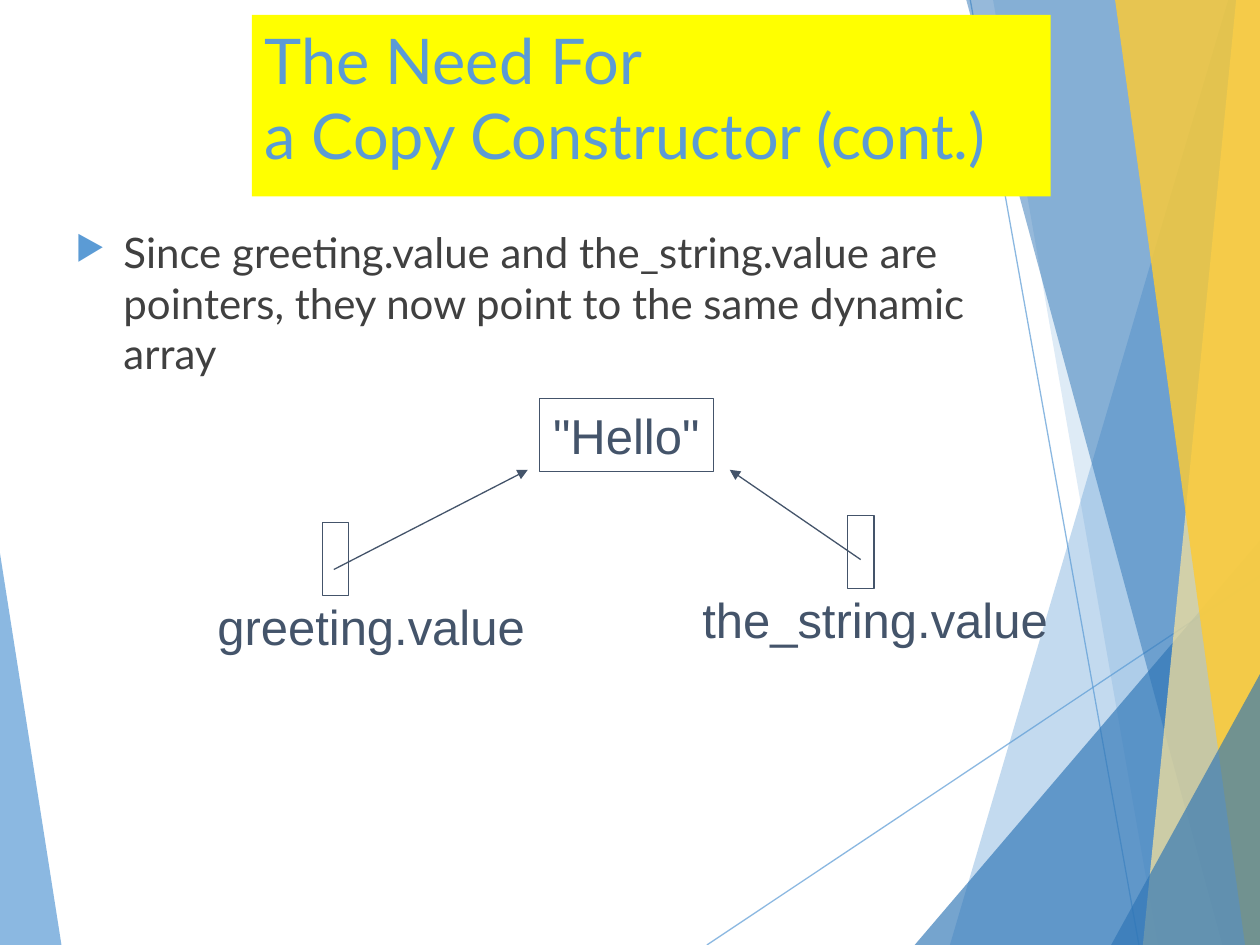
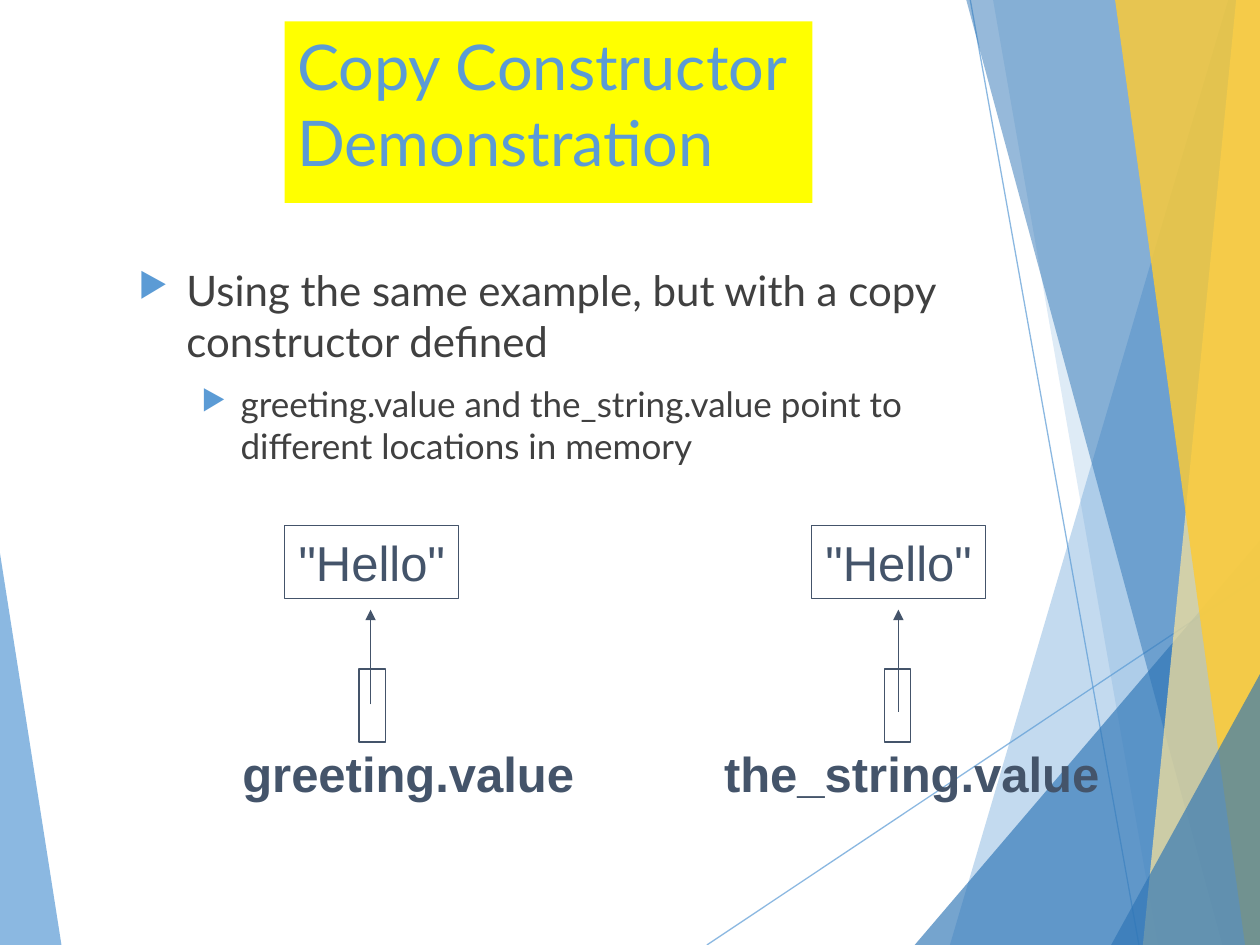
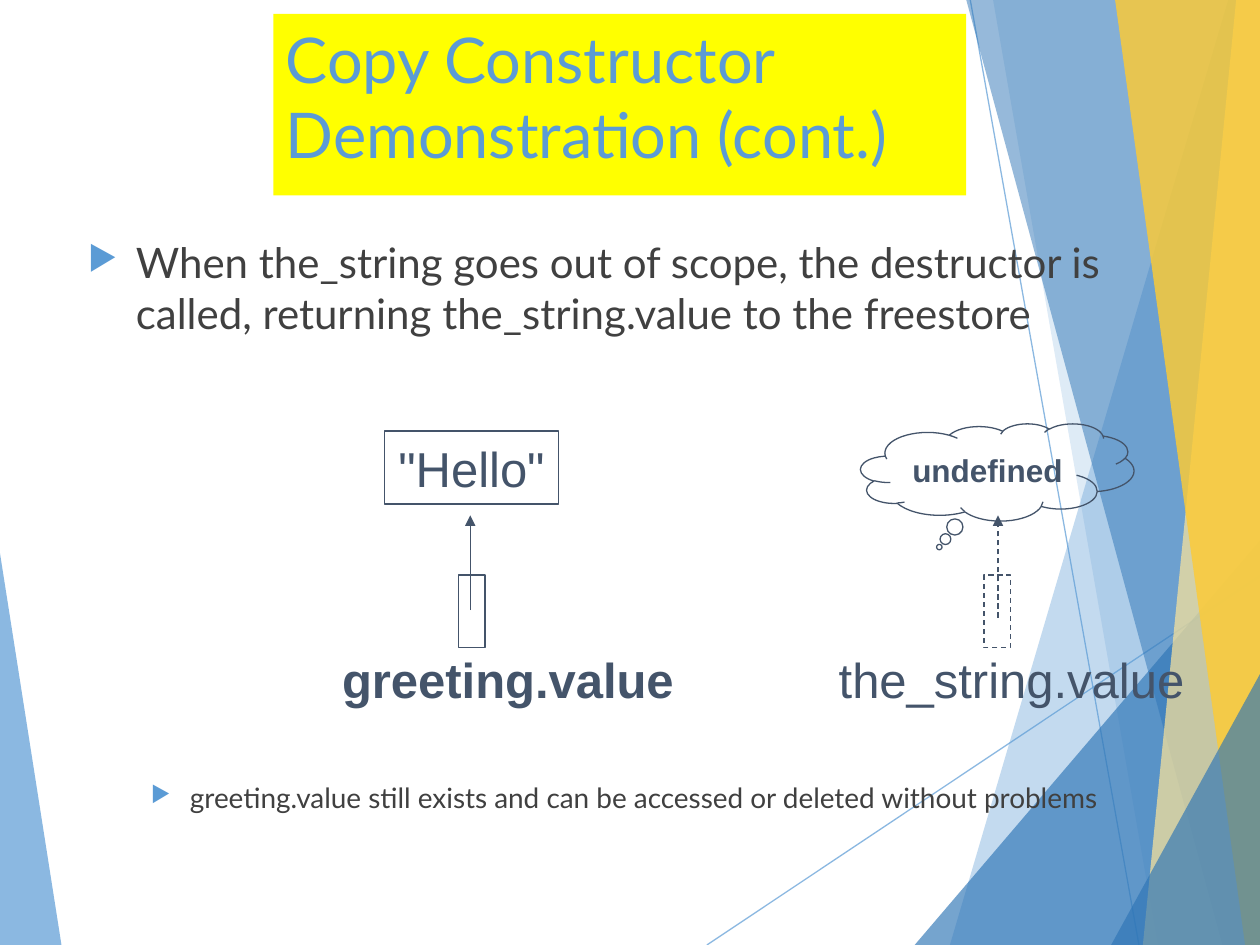
"""Build three slides on copy constructors, with pointer diagrams."""
import lxml.etree
import pptx
import pptx.dml.color
import pptx.enum.dml
import pptx.enum.shapes
import pptx.enum.text
import pptx.oxml.ns
import pptx.util

Cm, Pt = pptx.util.Cm, pptx.util.Pt
SHAPE = pptx.enum.shapes.MSO_SHAPE
ALIGN = pptx.enum.text.PP_ALIGN
ANCHOR = pptx.enum.text.MSO_ANCHOR

WIDTH, HEIGHT = 25.4, 19.05
COLORS = {
    "blue": "5B9BD5", "deep": "2E75B6", "cream": "FEE599", "gold": "FDCB34",
    "yellow": "FFFF00", "body": "404040", "slate": "44546A",
}
CORNER = (WIDTH, HEIGHT)
RIGHT_SIDE = [CORNER, (WIDTH, 0)]
BACKDROP = [
    ("blue", 70, [(0, 11.15), (1.24, HEIGHT), (0, HEIGHT)]),
    ("blue", 70, [(14.25, HEIGHT), (WIDTH, 11.61)]),
    ("blue", 70, [(19.56, 0), (22.96, HEIGHT)]),
    ("blue", 36, [(24.76, 0), (19.15, HEIGHT), *RIGHT_SIDE]),
    ("blue", 20, [(20.02, 0), (23.34, HEIGHT), *RIGHT_SIDE]),
    ("deep", 66, [(18.44, HEIGHT), (WIDTH, 10.9), CORNER]),
    ("deep", 50, [(19.48, 0), (24.64, HEIGHT), *RIGHT_SIDE]),
    ("cream", 70, [(24.92, 0), (23.04, HEIGHT), *RIGHT_SIDE]),
    ("gold", 82, [(22.48, 0), (25.1, HEIGHT), *RIGHT_SIDE]),
    ("deep", 66, [(22.4, HEIGHT), (WIDTH, 13.59), CORNER]),
]

TITLE_HEIGHT = 3.66
LABEL_HEIGHT = 1.45
CELL_SIZE = (0.53, 1.47)
VALUE_SIZE = (3.51, 1.47)
CLOUD_SIZE = (5.51, 1.96)
CLOUD_TAIL = (-0.212, 0.77)
INDENTS = [(0.97, 0.97), (2.06, 0.79)]

GREETING = {"name": "greeting.value", "bold": True, "width": 7.21, "label": (2.49, 4.27),
            "cell": (1.5, 2.9), "arrow": [(1.73, 3.61), (1.73, 1.7)]}
STRING = {"name": "the_string.value", "bold": True, "width": 8.1, "label": (12.64, 4.27),
          "cell": (12.09, 2.9), "arrow": [(12.37, 3.76), (12.37, 1.7)]}
PLAIN = {"bold": False, "width": 7.49}

SLIDES = [
    {
        "title": "The Need For \na Copy Constructor (cont.)",
        "title_at": (5.08, 0.3, 16.1),
        "body_at": (1.27, 4.45, 21.79, 10.77),
        "body": [("Since greeting.value and the_string.value are\n"
                  "pointers, they now point to the same dynamic \narray", 0, 24, 10)],
        "origin": (0, 0),
        "pointers": [
            {**GREETING, "bold": False, "width": 6.73, "label": (7.48, 11.89),
             "cell": (6.5, 10.54), "arrow": [(6.73, 11.48), (10.64, 9.47)]},
            {**STRING, **PLAIN, "label": (17.64, 11.76),
             "cell": (17.09, 10.39), "arrow": [(17.35, 11.28), (14.71, 9.47)]},
        ],
        "values": [(10.87, 8.03)],
    },
    {
        "title": "Copy Constructor Demonstration",
        "title_at": (5.74, 0.43, 10.64),
        "body_at": (2.54, 5.21, 17.63, 10.77),
        "body": [("Using the same example, but with a copy\nconstructor defined", 0, 24, 10),
                 ("greeting.value and the_string.value point to \n"
                  "different locations in memory", 1, 20, 10)],
        "origin": (5.74, 10.59),
        "pointers": [GREETING, STRING],
        "values": [(0, 0), (10.62, 0)],
    },
    {
        "title": "Copy Constructor Demonstration (cont.)",
        "title_at": (5.51, 0.28, 13.97),
        "body_at": (1.52, 4.65, 23.04, 13.34),
        "body": [("When the_string goes out of scope, the destructor is called, "
                  "returning the_string.value to the freestore", 0, 24, 10),
                 ("greeting.value still exists and can be accessed or deleted "
                  "without problems", 1, 16, 253)],
        "origin": (7.75, 8.69),
        "pointers": [GREETING, {**STRING, **PLAIN, "dashed": True}],
        "values": [(0, 0)],
        "cloud": ("undefined", (9.6, -0.15)),
    },
]


def rgb(name):
    return pptx.dml.color.RGBColor.from_string(COLORS[name])


def add_xml(parent, tag, **attributes):
    return lxml.etree.SubElement(parent, pptx.oxml.ns.qn(tag), attributes)


def set_alpha(shape, percent):
    for color in shape._element.spPr.iter(pptx.oxml.ns.qn("a:srgbClr")):
        add_xml(color, "a:alpha", val=str(percent * 1000))


def outline(shape, color, dashed=False):
    shape.line.color.rgb = rgb(color)
    shape.line.width = Pt(0.75)
    if dashed:
        shape.line.dash_style = pptx.enum.dml.MSO_LINE.DASH


def add_line(page, start, end, color, dashed=False, arrow=False):
    line = page.shapes.add_connector(
        pptx.enum.shapes.MSO_CONNECTOR.STRAIGHT, *map(Cm, (*start, *end)))
    outline(line, color, dashed)
    if arrow:
        add_xml(line.line._get_or_add_ln(), "a:tailEnd", type="triangle")
    add_xml(line._element.spPr, "a:effectLst")
    return line


def add_outlined(page, kind, place, size, dashed=False):
    shape = page.shapes.add_shape(kind, *map(Cm, (*place, *size)))
    shape.shadow.inherit = False
    shape.fill.background()
    outline(shape, "slate", dashed)
    return shape


def style(para, font, size, color, bold=False, align=ALIGN.LEFT):
    para.alignment = align
    para.font.name = font
    para.font.size = Pt(size)
    para.font.bold = bold
    para.font.color.rgb = rgb(color)


def write_label(shape, text, size=28, bold=False):
    frame = shape.text_frame
    frame.word_wrap = False
    frame.vertical_anchor = ANCHOR.MIDDLE
    para = frame.paragraphs[0]
    para.text = text
    style(para, "Arial", size, "slate", bold, ALIGN.CENTER)


def draw_backdrop(page):
    for color, alpha, points in BACKDROP:
        if len(points) == 2:
            shape = add_line(page, *points, color)
        else:
            corners = [(Cm(x), Cm(y)) for x, y in points]
            builder = page.shapes.build_freeform(*corners[0])
            builder.add_line_segments(corners[1:], close=True)
            shape = builder.convert_to_shape()
            shape.shadow.inherit = False
            shape.fill.solid()
            shape.fill.fore_color.rgb = rgb(color)
            shape.line.fill.background()
        set_alpha(shape, alpha)


def draw_title(page, text, place):
    box = page.shapes.add_shape(SHAPE.RECTANGLE, *map(Cm, (*place, TITLE_HEIGHT)))
    box.shadow.inherit = False
    box.fill.solid()
    box.fill.fore_color.rgb = rgb("yellow")
    box.line.fill.background()
    frame = box.text_frame
    frame.word_wrap = True
    frame.vertical_anchor = ANCHOR.TOP
    para = frame.paragraphs[0]
    para.text = text
    style(para, "Lato", 36, "blue")


def draw_body(page, entries, place):
    frame = page.shapes.add_textbox(*map(Cm, place)).text_frame
    frame.word_wrap = True
    for index, (text, level, size, gap) in enumerate(entries):
        para = frame.add_paragraph() if index else frame.paragraphs[0]
        para.text = text
        para.level = level
        if index:
            para.space_before = Pt(gap)
        margin, hanging = INDENTS[level]
        properties = para._p.get_or_add_pPr()
        properties.set("marL", str(Cm(margin)))
        properties.set("indent", str(-Cm(hanging)))
        add_xml(add_xml(properties, "a:buClr"), "a:srgbClr", val=COLORS["blue"])
        add_xml(properties, "a:buSzPct", val="80000")
        add_xml(properties, "a:buChar", char="▶")
        style(para, "Lato", size, "body")


def draw_diagram(page, content):
    def shift(point):
        return tuple(a + b for a, b in zip(content["origin"], point))

    for pointer in content["pointers"]:
        dashed = pointer.get("dashed", False)
        centre, top = shift(pointer["label"])
        width = pointer["width"]
        label = page.shapes.add_textbox(
            *map(Cm, (centre - width / 2, top, width, LABEL_HEIGHT)))
        write_label(label, pointer["name"], bold=pointer["bold"])
        add_outlined(page, SHAPE.RECTANGLE, shift(pointer["cell"]), CELL_SIZE, dashed)
        add_line(page, *map(shift, pointer["arrow"]), "slate", dashed, arrow=True)
    for place in content["values"]:
        write_label(add_outlined(page, SHAPE.RECTANGLE, shift(place), VALUE_SIZE), '"Hello"')
    if "cloud" in content:
        text, place = content["cloud"]
        cloud = add_outlined(page, SHAPE.CLOUD_CALLOUT, shift(place), CLOUD_SIZE)
        for index, value in enumerate(CLOUD_TAIL):
            cloud.adjustments[index] = value
        write_label(cloud, text, 18, True)


def main():
    deck = pptx.Presentation()
    deck.slide_width, deck.slide_height = Cm(WIDTH), Cm(HEIGHT)
    for content in SLIDES:
        page = deck.slides.add_slide(deck.slide_layouts[6])
        draw_backdrop(page)
        draw_title(page, content["title"], content["title_at"])
        draw_body(page, content["body"], content["body_at"])
        draw_diagram(page, content)
    deck.save("out.pptx")


if __name__ == "__main__":
    main()
